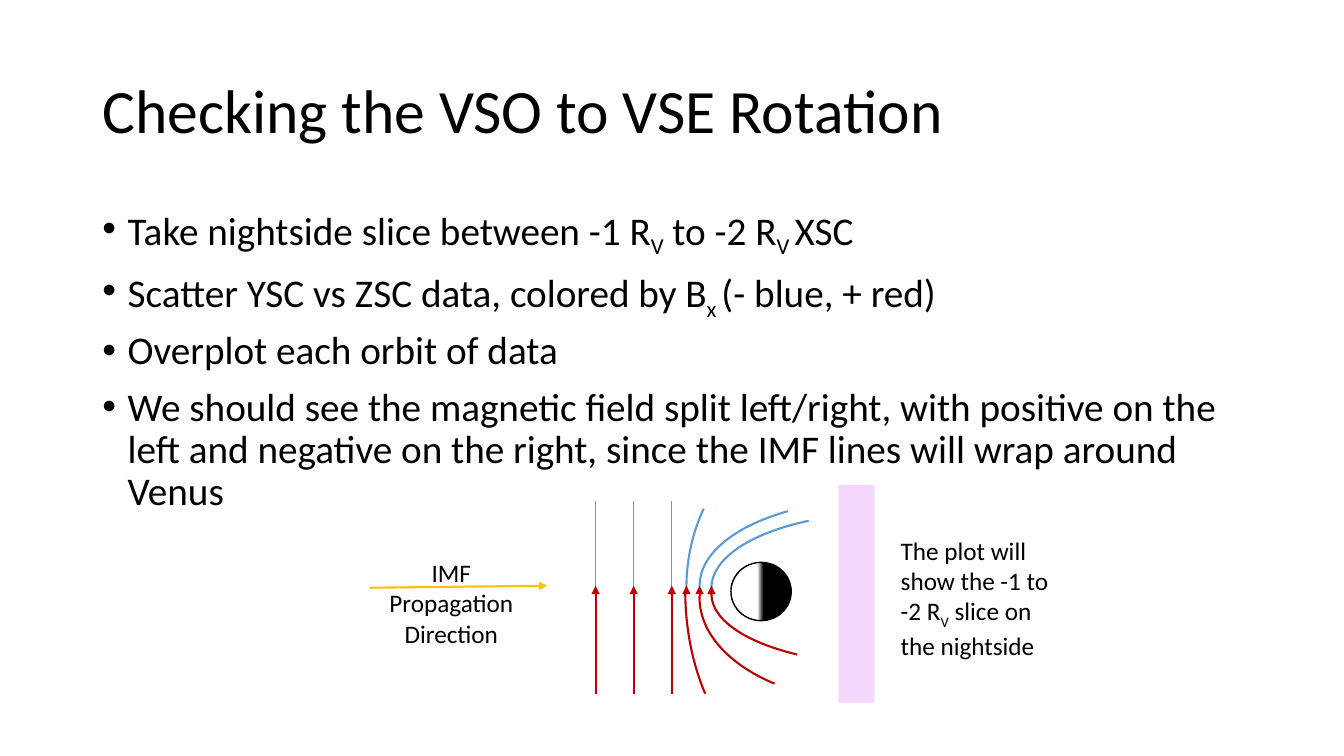
import pptx
import pptx.util
import pptx.dml.color
import pptx.enum.shapes
import pptx.enum.text
from pptx.oxml import parse_xml
from pptx.oxml.ns import nsdecls
from lxml import etree

Cm, Pt = pptx.util.Cm, pptx.util.Pt
RGB = pptx.dml.color.RGBColor
SHAPE = pptx.enum.shapes.MSO_SHAPE
ALIGN = pptx.enum.text.PP_ALIGN
ANCHOR = pptx.enum.text.MSO_ANCHOR

BLACK = RGB(0x00, 0x00, 0x00)
RED = RGB(0xC0, 0x00, 0x00)
BLUE = RGB(0x5B, 0x9B, 0xD5)
GOLD = RGB(0xFF, 0xC0, 0x00)
VIOLET = RGB(0xD2, 0x3B, 0xF5)


def element(tag, **attributes):
    """Make an empty element in the DrawingML namespace."""
    e = parse_xml(f"<a:{tag} {nsdecls('a')}/>")
    for name, value in attributes.items():
        e.set(name, value)
    return e


def write(tf, paragraphs, size, align=ALIGN.LEFT, anchor=ANCHOR.TOP,
          spacing=1.0, before=0, bullet=False):
    """Fill a frame; each paragraph alternates normal and subscript runs."""
    tf.word_wrap = True
    tf.auto_size = pptx.enum.text.MSO_AUTO_SIZE.NONE
    tf.vertical_anchor = anchor
    for i, runs in enumerate(paragraphs):
        p = tf.add_paragraph() if i else tf.paragraphs[0]
        p.alignment = align
        p.line_spacing = spacing
        p.space_before = Pt(before if i else 0)
        if bullet:
            pPr = p._p.get_or_add_pPr()
            pPr.set("marL", str(Cm(0.64)))
            pPr.set("indent", str(-Cm(0.64)))
            pPr.append(element("buFont", typeface="Arial"))
            pPr.append(element("buChar", char="•"))
        for j, text in enumerate(runs):
            r = p.add_run()
            r.text = text
            r.font.name = "Calibri"
            r.font.size = Pt(size)
            r.font.color.rgb = BLACK
            if j % 2:
                r._r.get_or_add_rPr().set("baseline", "-25000")


class Deck:
    def __init__(self):
        self.prs = pptx.Presentation()
        self.prs.slide_width, self.prs.slide_height = Cm(33.87), Cm(19.05)
        self.s = self.prs.slides.add_slide(self.prs.slide_layouts[5])

    def title(self, text, x, y, w, h):
        sp = self.s.shapes.title
        sp.left, sp.top, sp.width, sp.height = Cm(x), Cm(y), Cm(w), Cm(h)
        write(sp.text_frame, [[text]], 44, anchor=ANCHOR.MIDDLE, spacing=0.9)

    def text(self, paragraphs, x, y, w, h, size=18, **style):
        sp = self.s.shapes.add_textbox(Cm(x), Cm(y), Cm(w), Cm(h))
        write(sp.text_frame, paragraphs, size, **style)

    def line(self, x1, y1, x2, y2, color, width=1.5, arrow=False):
        c = self.s.shapes.add_connector(
            pptx.enum.shapes.MSO_CONNECTOR.STRAIGHT, Cm(x1), Cm(y1), Cm(x2), Cm(y2))
        c.line.color.rgb = color
        c.line.width = Pt(width)
        if arrow:
            c.line._get_or_add_ln().append(element("tailEnd", type="triangle"))
        c._element.spPr.append(element("effectLst"))

    def shape(self, kind, x, y, w, h, line=None, width=1.0):
        sp = self.s.shapes.add_shape(kind, Cm(x), Cm(y), Cm(w), Cm(h))
        sp.shadow.inherit = False
        if line is None:
            sp.line.fill.background()
        else:
            sp.line.color.rgb = line
            sp.line.width = Pt(width)
        return sp

    def arc(self, x, y, w, h, start, color, below):
        """Draw the left end of an ellipse, below or above its middle."""
        sp = self.shape(SHAPE.ARC, x, y, w, h, color, 1.5)
        sp.fill.background()
        sp.adjustments[0], sp.adjustments[1] = start, 0.285
        xfrm = sp._element.spPr.xfrm
        xfrm.set("flipH", "1")
        if below:
            xfrm.set("flipV", "1")

    def planet(self, x, y, w, h):
        """Draw a disc that is lit on the left and dark on the right."""
        sp = self.shape(SHAPE.OVAL, x, y, w, h, BLACK)
        sp.rotation = 180
        sp.fill.gradient()
        sp.fill.gradient_angle = 0
        stops = sp._element.spPr.find(".//{*}gsLst")
        for stop in list(stops):
            stops.remove(stop)
        for position, color in ((0, "000000"), (46, "000000"),
                                (56, "FFFFFF"), (100, "FFFFFF")):
            stop = element("gs", pos=str(position * 1000))
            stop.append(element("srgbClr", val=color))
            stops.append(stop)

    def band(self, x, y, w, h, color, opacity):
        sp = self.shape(SHAPE.RECTANGLE, x, y, w, h)
        sp.fill.solid()
        sp.fill.fore_color.rgb = color
        clr = sp._element.spPr.find(".//{*}srgbClr")
        clr.append(element("alpha", val=str(opacity * 1000)))


def main():
    deck = Deck()
    deck.title("Checking the VSO to VSE Rotation", 2.33, 1.01, 29.21, 3.68)
    deck.text([
        ["Take nightside slice between -1 R", "V", " to -2 R", "V ", "XSC"],
        ["Scatter YSC vs ZSC data, colored by B", "x ", "(- blue, + red)"],
        ["Overplot each orbit of data"],
        ["We should see the magnetic field split left/right, with positive on the "
         "left and negative on the right, since the IMF lines will wrap around Venus"],
    ], 2.33, 5.08, 29.21, 12.09, size=28, spacing=0.9, before=10, bullet=True)

    field_bottom, field_top, tip = 17.48, 12.62, 14.76
    for i in range(3):
        x = 15.01 + 0.96 * i
        deck.line(x, field_bottom, x, field_top, BLUE, 1)
        deck.line(x, field_bottom, x, tip, RED, arrow=True)

    deck.planet(18.42, 14.17, 1.52, 1.47)
    for x, y, w, h, start, color, below in (
            (17.63, 12.42, 8.81, 5.28, 191.53, RED, True),
            (17.63, 12.6, 8.81, 4.32, 191.53, BLUE, False),
            (17.27, 9.98, 6.71, 9.83, 190.68, RED, True),
            (17.3, 10.67, 7.06, 8.28, 196.33, BLUE, False),
            (17.93, 13.21, 8.81, 3.53, 195.55, RED, True),
            (17.93, 12.93, 8.81, 3.76, 191.53, BLUE, False)):
        deck.arc(x, y, w, h, start, color, below)
    for x, start in ((17.63, 15.01), (17.3, 14.86), (17.93, 14.86)):
        deck.line(x, start, x, tip, RED, arrow=True)

    deck.line(9.32, 14.81, 13.79, 14.76, GOLD, arrow=True)
    deck.text([["IMF Propagation"], ["Direction"]], 9.32, 13.92, 4.11, 2.57,
              align=ALIGN.CENTER)
    deck.band(21.13, 12.22, 0.91, 5.49, VIOLET, 20)
    deck.text([["The plot will show the -1 to -2 R", "V", " slice on the nightside"]],
              22.45, 13.36, 4.57, 3.33)
    deck.prs.save("out.pptx")


if __name__ == "__main__":
    main()
